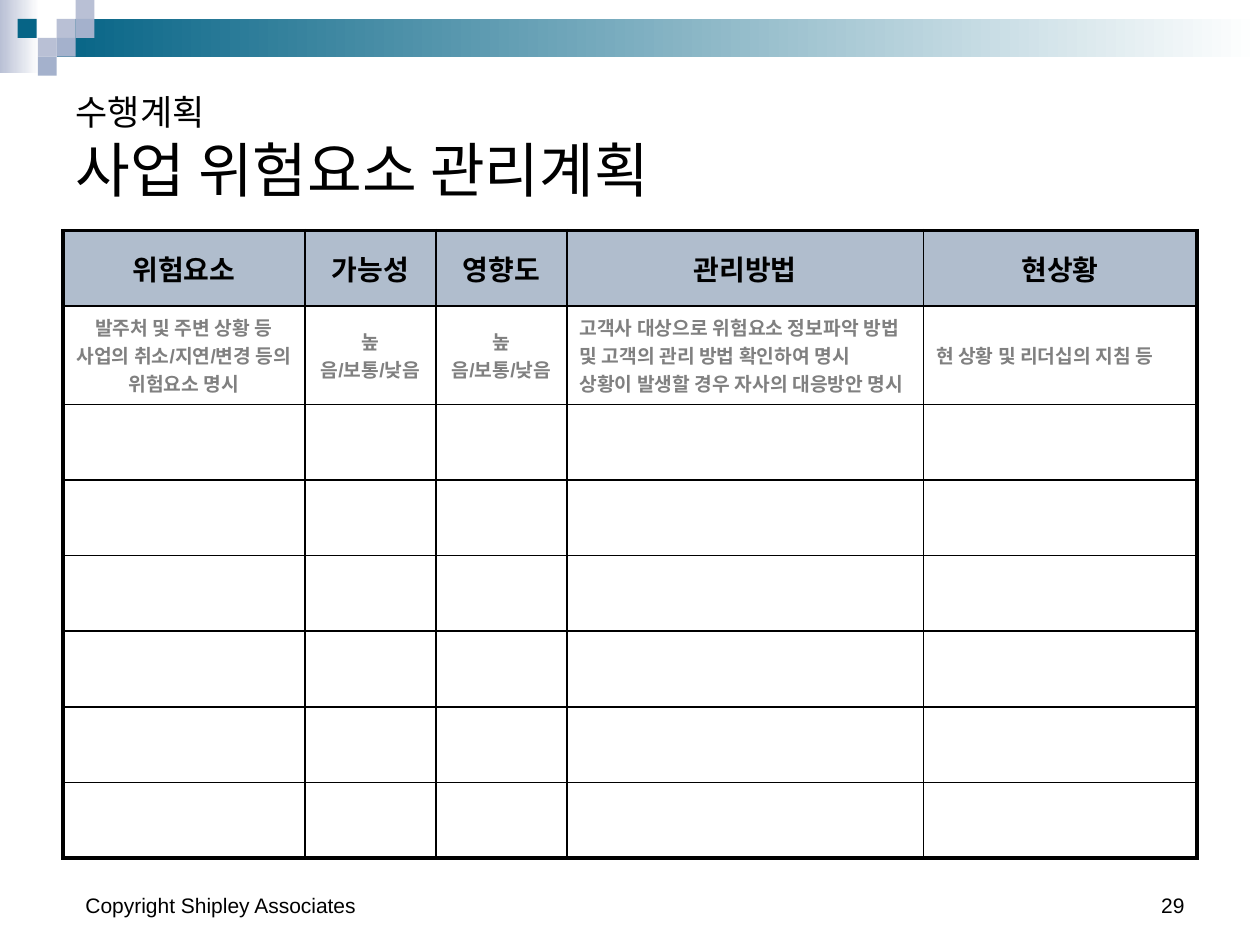
from lxml.etree import SubElement
from pptx import Presentation
from pptx.dml.color import RGBColor
from pptx.enum.shapes import MSO_SHAPE
from pptx.enum.text import MSO_ANCHOR as Anchor, MSO_AUTO_SIZE as Fit, PP_ALIGN as Align
from pptx.oxml.ns import qn
from pptx.util import Inches, Pt

COLORS = {"black": "000000", "gray": "808080", "white": "FFFFFF", "head": "B0BDCD",
          "teal": "066486", "pale": "B9C0D5", "mid": "A4B1CC"}


def style(para, size, color="black", bold=False, align=Align.LEFT):
    para.alignment = align
    font = para.font
    font.name, font.size, font.bold = "Arial", Pt(size), bold
    font.color.rgb = RGBColor.from_string(COLORS[color])


def border(cell, widths):
    """Draw the left, right, top and bottom lines, with widths in points."""
    props = cell._tc.get_or_add_tcPr()
    for i, (side, width) in enumerate(zip("LRTB", widths)):
        line = props.makeelement(qn(f"a:ln{side}"), {"w": str(Pt(width))})
        fill = SubElement(line, qn("a:solidFill"))
        SubElement(fill, qn("a:srgbClr"), val=COLORS["black"])
        props.insert(i, line)


prs = Presentation()
prs.slide_width, prs.slide_height = Inches(10), Inches(7.5)
slide = prs.slides.add_slide(prs.slide_layouts[5])
shapes = slide.shapes

# Header bars and squares; two colours make a gradient
unit = 0.15
bars = [(0, 0, 0.31, 0.58, "pale", "white"), (0.45, unit, 9.55, 0.3, "teal", "white")]
squares = [(0.45, 0.15, "pale"), (0.6, 0, "pale"), (0.6, 0.15, "mid"), (0.3, 0.3, "pale"),
           (0.14, 0.15, "teal"), (0.45, 0.3, "mid"), (0.3, 0.45, "mid")]
bars += [(x, y, unit, unit, color) for x, y, color in squares]
for x, y, w, h, *tones in bars:
    bar = shapes.add_shape(MSO_SHAPE.RECTANGLE, Inches(x), Inches(y), Inches(w), Inches(h))
    bar.shadow.inherit = False
    bar.line.fill.background()
    if len(tones) == 2:
        bar.fill.gradient()
        bar.fill.gradient_angle = 0
        for stop, tone in zip(bar.fill.gradient_stops, tones):
            stop.color.rgb = RGBColor.from_string(COLORS[tone])
    else:
        bar.fill.solid()
        bar.fill.fore_color.rgb = RGBColor.from_string(COLORS[tones[0]])

# Title
title = shapes.title
title.left, title.top, title.width, title.height = Inches(0.5), Inches(0.5), Inches(9), Inches(1.17)
frame = title.text_frame
frame.auto_size, frame.vertical_anchor = Fit.NONE, Anchor.BOTTOM
para = frame.paragraphs[0]
style(para, 34)
run = para.add_run()
run.text = "수행계획"
run.font.size = Pt(20)
para.add_line_break()
para.add_run().text = "사업 위험요소 관리계획"

# Footer
for x, w, text, align in [(0.58, 3.17, "Copyright Shipley Associates", Align.LEFT),
                          (7.17, 2.33, "29", Align.RIGHT)]:
    box = shapes.add_textbox(Inches(x), Inches(6.83), Inches(w), Inches(0.5))
    frame = box.text_frame
    frame.word_wrap, frame.vertical_anchor = True, Anchor.BOTTOM
    frame.text = text
    style(frame.paragraphs[0], 12, align=align)

# Risk table: a header, a guide row and blank rows to fill in
heads = ["위험요소", "가능성", "영향도", "관리방법", "현상황"]
guide = ["발주처 및 주변 상황 등 사업의 취소/지연/변경 등의 위험요소 명시",
         "높음/보통/낮음",
         "높음/보통/낮음",
         "고객사 대상으로 위험요소 정보파악 방법 및 고객의 관리 방법 확인하여 명시\n"
         "상황이 발생할 경우 자사의 대응방안 명시",
         "현 상황 및 리더십의 지침 등"]
cols = [1.92, 1.04, 1.04, 2.83, 2.17]
rows = [0.6, 0.78] + [0.6] * 6
table = shapes.add_table(len(rows), len(cols), Inches(0.5), Inches(1.83),
                         Inches(sum(cols)), Inches(sum(rows))).table
table.first_row = table.horz_banding = False
for col, width in zip(table.columns, cols):
    col.width = Inches(width)
for row, height in zip(table.rows, rows):
    row.height = Inches(height)

thin, thick = 1, 2.25
for r in range(len(rows)):
    for c in range(len(cols)):
        cell = table.cell(r, c)
        cell.vertical_anchor = Anchor.MIDDLE
        cell.fill.solid()
        cell.fill.fore_color.rgb = RGBColor.from_string(COLORS["white" if r else "head"])
        edges = [c == 0, c == len(cols) - 1, r == 0, r == len(rows) - 1]
        border(cell, [thick if edge else thin for edge in edges])
        if r == 0:
            cell.text = heads[c]
            style(cell.text_frame.paragraphs[0], 16, bold=True, align=Align.CENTER)
        elif r == 1:
            cell.text = guide[c]
            for para in cell.text_frame.paragraphs:
                style(para, 11, "gray", True, Align.CENTER if c < 3 else Align.LEFT)

prs.save("out.pptx")
